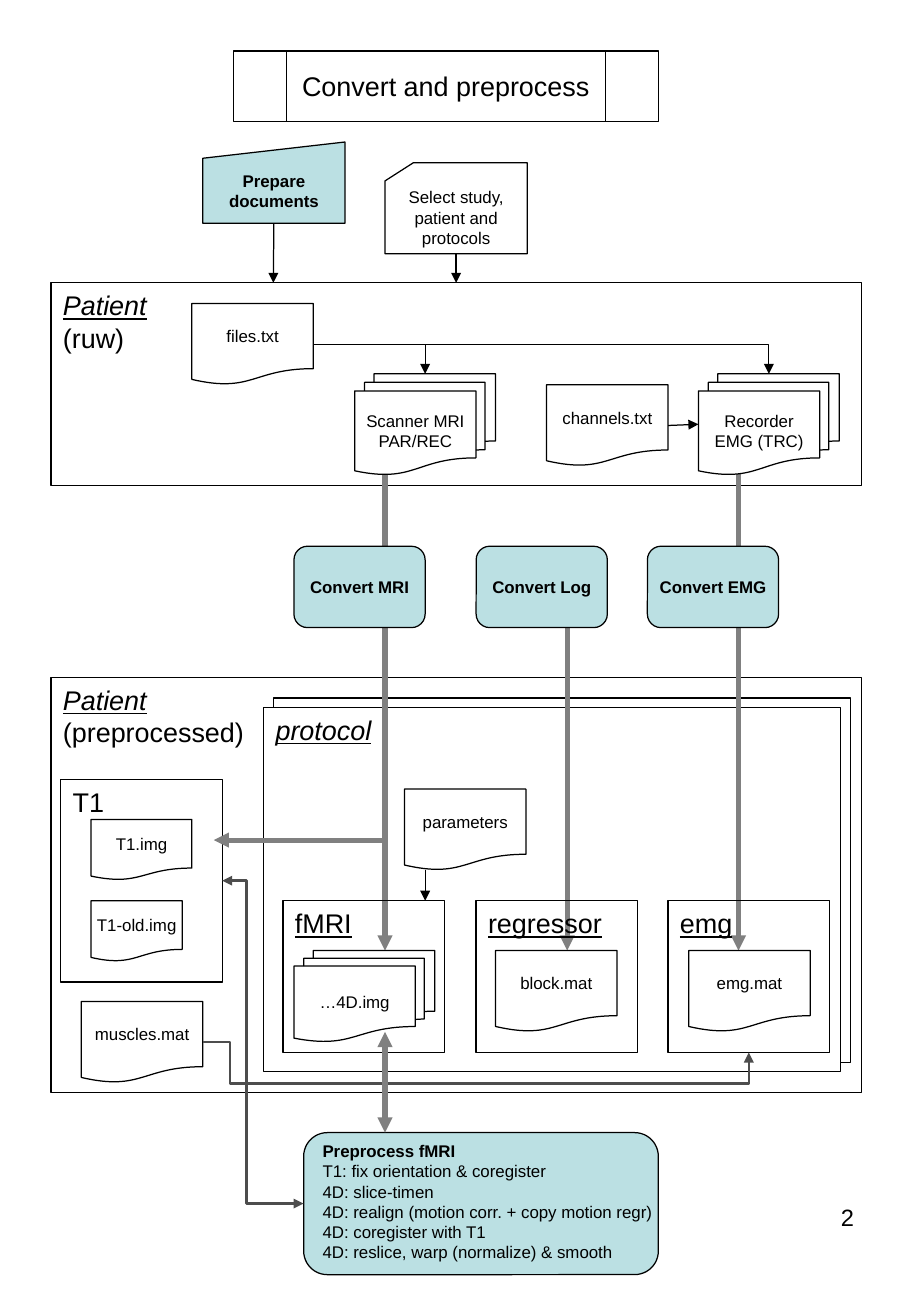
from pptx import Presentation
from pptx.dml.color import RGBColor
from pptx.enum.shapes import MSO_CONNECTOR as LINK, MSO_SHAPE as SHAPE
from pptx.enum.text import MSO_ANCHOR as ANCHOR, PP_ALIGN as ALIGN
from pptx.oxml.ns import qn
from pptx.util import Inches, Pt
from lxml.etree import SubElement

BLACK, WHITE, TEAL = "000000", "FFFFFF", "BBE0E3"
GREY, DARK_GREY = "808080", "4D4D4D"
TOP, LEFT, BOTTOM, RIGHT = range(4)

LABEL = {"size": Pt(10)}
BOLD_LABEL = {"size": Pt(10), "bold": True}
HEADING = {"size": Pt(16)}
UNDERLINED = {"size": Pt(16), "underline": True}
ENTITY = {"size": Pt(16), "underline": True, "italic": True}


def colour(hex_code):
    return RGBColor.from_string(hex_code)


def write(shape, lines, align=ALIGN.CENTER, anchor=ANCHOR.MIDDLE, wrap=False,
          top_inset=0.05):
    """Fill a shape with (text, format) lines, one paragraph each."""
    frame = shape.text_frame
    frame.word_wrap = wrap
    frame.vertical_anchor = anchor
    frame.margin_left = frame.margin_right = Inches(0.1)
    frame.margin_top, frame.margin_bottom = Inches(top_inset), Inches(0.05)
    for index, (text, formats) in enumerate(lines):
        paragraph = frame.add_paragraph() if index else frame.paragraphs[0]
        paragraph.alignment = align
        run = paragraph.add_run()
        run.text = text
        run.font.color.rgb = colour(BLACK)
        for attribute, value in {"name": "Arial", **formats}.items():
            setattr(run.font, attribute, value)


def add_block(slide, kind, at, fill=None):
    block = slide.shapes.add_shape(kind, *map(Inches, at))
    block.shadow.inherit = False
    if fill:
        block.fill.solid()
        block.fill.fore_color.rgb = colour(fill)
    else:
        block.fill.background()
    block.line.color.rgb = colour(BLACK)
    block.line.width = Pt(0.75)
    return block


def add_panel(slide, at, lines=(), fill=None):
    panel = add_block(slide, SHAPE.RECTANGLE, at, fill)
    write(panel, lines, ALIGN.LEFT, ANCHOR.TOP, wrap=True)
    return panel


def add_document(slide, at, *texts, kind=SHAPE.FLOWCHART_DOCUMENT, wrap=False):
    document = add_block(slide, kind, at, WHITE)
    write(document, [(text, LABEL) for text in texts], wrap=wrap)
    return document


def add_stack(slide, at, *texts):
    return add_document(slide, at, *texts, kind=SHAPE.FLOWCHART_MULTIDOCUMENT)


def add_step(slide, at, *texts, kind=SHAPE.FLOWCHART_ALTERNATE_PROCESS):
    step = add_block(slide, kind, at, TEAL)
    write(step, [(text, BOLD_LABEL) for text in texts])
    return step


def add_arrow(slide, start, end, source=None, target=None, hex_code=BLACK, width=0.75,
              both=False, bend=None, adjust=()):
    """Draw an arrow; source and target are (shape, side), bend is the elbow preset."""
    arrow = slide.shapes.add_connector(LINK.ELBOW if bend else LINK.STRAIGHT,
                                       *map(Inches, start + end))
    if source:
        arrow.begin_connect(*source)
    if target:
        arrow.end_connect(*target)
    arrow.line.color.rgb = colour(hex_code)
    arrow.line.width = Pt(width)
    properties = arrow._element.spPr
    line = properties.find(qn("a:ln"))
    for tip in ("a:headEnd", "a:tailEnd") if both else ("a:tailEnd",):
        SubElement(line, qn(tip), type="triangle")
    SubElement(properties, qn("a:effectLst"))
    if bend:
        geometry = properties.find(qn("a:prstGeom"))
        geometry.set("prst", bend)
        guides = geometry.find(qn("a:avLst"))
        for number, share in enumerate(adjust, 1):
            name = "adj" if bend == "bentConnector3" else f"adj{number}"
            name = "adj1" if name == "adj" else name
            SubElement(guides, qn("a:gd"), name=name, fmla=f"val {round(share * 100000)}")


def add_flow(slide, start, end, both=False):
    add_arrow(slide, start, end, hex_code=GREY, width=3, both=both)


def add_title(slide):
    at = (1.92, 0.42, 3.5, 0.58)
    add_block(slide, SHAPE.FLOWCHART_PREDEFINED_PROCESS, at)
    title = slide.shapes.title
    title.left, title.top, title.width, title.height = map(Inches, at)
    write(title, [("Convert and preprocess", HEADING)])


def add_raw_patient(slide):
    patient = add_panel(slide, (0.42, 2.33, 6.67, 1.67),
                        [("Patient", ENTITY), ("(ruw)", HEADING)])
    prepare = add_step(slide, (1.67, 1.17, 1.17, 0.67), "Prepare", "documents",
                       kind=SHAPE.FLOWCHART_MANUAL_INPUT)
    select = add_document(slide, (3.17, 1.34, 1.17, 0.75),
                          "Select study, patient and protocols",
                          kind=SHAPE.FLOWCHART_CARD, wrap=True)
    add_arrow(slide, (2.25, 1.84), (2.25, 2.33), (prepare, BOTTOM))
    add_arrow(slide, (3.75, 2.09), (3.75, 2.33), (select, BOTTOM), (patient, TOP))
    files = add_document(slide, (1.58, 2.5, 1, 0.67), "files.txt")
    channels = add_document(slide, (4.5, 3.17, 1, 0.67), "channels.txt")
    # Grey flows start behind the recordings
    add_flow(slide, (3.17, 3.75), (3.17, 7.83))
    add_flow(slide, (6.08, 3.83), (6.08, 7.83))
    mri = add_stack(slide, (2.92, 3.08, 1.16, 0.83), "Scanner MRI", "PAR/REC")
    emg = add_stack(slide, (5.75, 3.08, 1.16, 0.83), "Recorder", "EMG (TRC)")
    for recording, x in ((mri, 3.5), (emg, 6.33)):
        add_arrow(slide, (2.58, 2.83), (x, 3.08), (files, RIGHT), (recording, TOP),
                  bend="bentConnector2")
    add_arrow(slide, (5.5, 3.5), (5.75, 3.5), (channels, RIGHT), (emg, LEFT))


def add_conversions(slide):
    add_flow(slide, (4.67, 4.92), (4.67, 7.83))
    for x, subject in ((2.42, "MRI"), (3.92, "Log"), (5.33, "EMG")):
        add_step(slide, (x, 4.5, 1.08, 0.67), f"Convert {subject}")


def add_protocol_panels(slide):
    add_panel(slide, (2.25, 5.75, 4.75, 3), fill=WHITE)
    add_panel(slide, (2.17, 5.83, 4.75, 3), [("protocol", ENTITY)], WHITE)
    add_panel(slide, (0.42, 5.58, 6.67, 3.42),
              [("Patient", ENTITY), ("(preprocessed)", HEADING)])


def add_results(slide):
    t1 = add_panel(slide, (0.5, 6.42, 1.33, 1.67), [("T1", HEADING)])
    add_document(slide, (0.75, 6.75, 0.83, 0.5), "T1.img")
    add_document(slide, (0.75, 7.42, 0.75, 0.5), "T1-old.img")
    add_flow(slide, (3.16, 6.92), (1.76, 6.92))
    add_document(slide, (3.33, 6.5, 1, 0.67), "parameters")
    add_arrow(slide, (3.5, 7.17), (3.5, 7.42))
    for x, heading in ((2.33, "fMRI"), (3.92, "regressor"), (5.5, "emg")):
        panel = add_panel(slide, (x, 7.42, 1.33, 1.25), [(heading, UNDERLINED)])
    emg = panel
    add_stack(slide, (2.42, 7.83, 1.16, 0.75), "…4D.img")
    add_document(slide, (4.08, 7.83, 1, 0.67), "block.mat")
    add_document(slide, (5.67, 7.83, 1, 0.67), "emg.mat")
    muscles = add_document(slide, (0.67, 8.25, 1, 0.67), "muscles.mat")
    add_arrow(slide, (1.67, 8.58), (6.17, 8.67), (muscles, RIGHT), (emg, BOTTOM),
              DARK_GREY, 1.5, bend="bentConnector4", adjust=(0.05, 4))
    return t1


def add_preprocessing(slide, t1):
    preprocess = add_block(slide, SHAPE.FLOWCHART_ALTERNATE_PROCESS,
                           (2.5, 9.33, 2.92, 1.17), TEAL)
    tasks = ("T1: fix orientation & coregister", "4D: slice-timen",
             "4D: realign (motion corr. + copy motion regr)",
             "4D: coregister with T1", "4D: reslice, warp (normalize) & smooth")
    write(preprocess, [("Preprocess fMRI", BOLD_LABEL), *((task, LABEL) for task in tasks)],
          ALIGN.LEFT, ANCHOR.TOP, top_inset=0.01)
    add_flow(slide, (3.17, 9.33), (3.17, 8.5), both=True)
    add_arrow(slide, (2.5, 9.92), (1.83, 7.25), (preprocess, LEFT), (t1, RIGHT),
              DARK_GREY, 1.5, both=True, bend="bentConnector3", adjust=(0.7,))


def add_page_number(slide):
    number = slide.shapes.add_textbox(*map(Inches, (5.38, 9.86, 1.75, 0.75)))
    write(number, [("2", {"size": Pt(14)})], ALIGN.RIGHT, ANCHOR.TOP, wrap=True)


def main():
    deck = Presentation()
    deck.slide_width, deck.slide_height = Inches(7.5), Inches(10.84)
    slide = deck.slides.add_slide(deck.slide_layouts[5])
    add_title(slide)
    add_protocol_panels(slide)
    add_raw_patient(slide)
    add_conversions(slide)
    t1 = add_results(slide)
    add_preprocessing(slide, t1)
    add_page_number(slide)
    deck.save("out.pptx")


if __name__ == "__main__":
    main()
